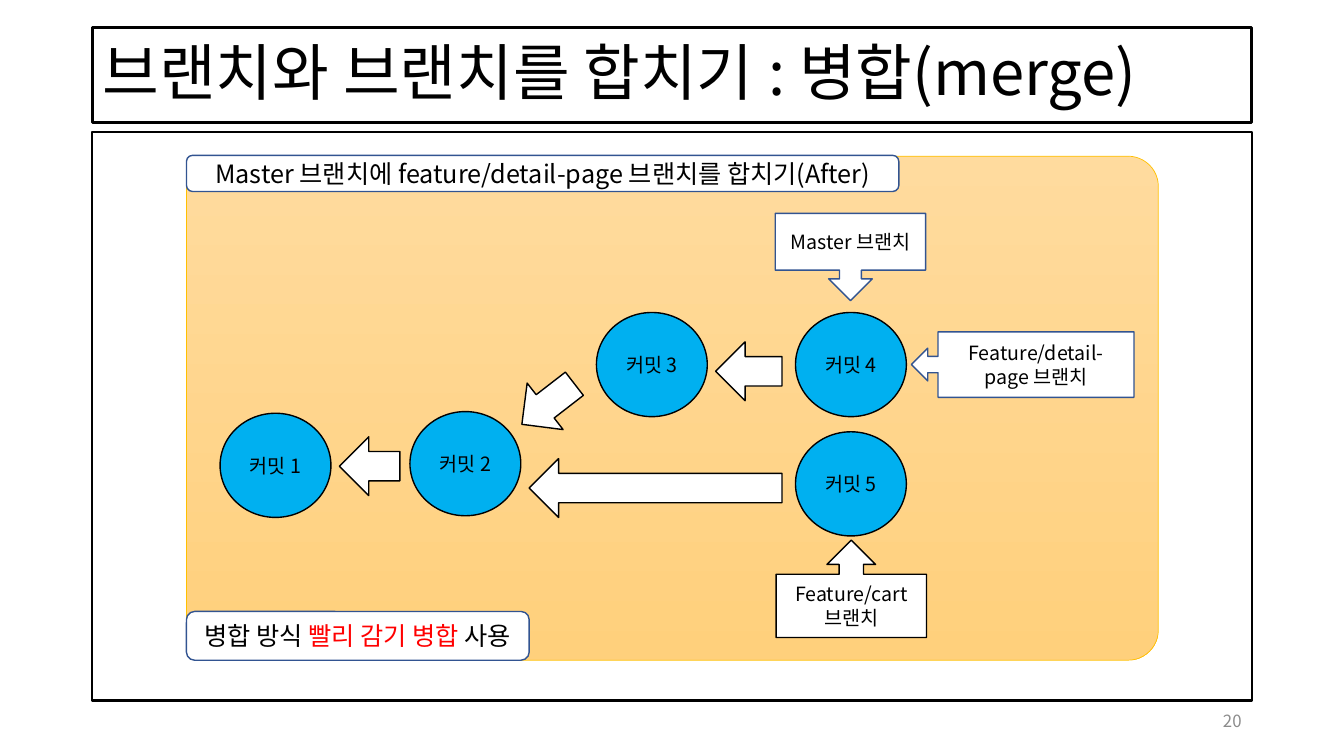
from pptx import Presentation
from pptx.dml.color import RGBColor
from pptx.enum.shapes import MSO_SHAPE
from pptx.enum.text import MSO_ANCHOR, MSO_AUTO_SIZE, PP_ALIGN
from pptx.util import Inches, Pt
from lxml.etree import SubElement
from pptx.oxml.ns import qn

COLUMNS, ROWS = 160, 90
COMMIT_SIZE = (13.2, 12.4)
ARROW_HEIGHT = 7
BLACK, WHITE, RED, NAVY = "000000", "FFFFFF", "FF0000", "325491"
SKY, GOLD, GRAY = "00B0F0", "FFC000", "8C8C8C"


def color(value):
    return RGBColor.from_string(value)


class BranchSlide:
    font = "Noto Sans CJK KR"

    def __init__(self, deck):
        self.column = deck.slide_width / COLUMNS
        self.row = deck.slide_height / ROWS
        self.slide = deck.slides.add_slide(deck.slide_layouts[5])

    def box(self, left, top, width, height):
        return (round(left * self.column), round(top * self.row),
                round(width * self.column), round(height * self.row))

    def add_text(self, shape, paragraphs, size, align=PP_ALIGN.CENTER):
        frame = shape.text_frame
        frame.word_wrap = True
        frame.auto_size = MSO_AUTO_SIZE.NONE
        frame.vertical_anchor = MSO_ANCHOR.MIDDLE
        for index, runs in enumerate(paragraphs):
            paragraph = frame.add_paragraph() if index else frame.paragraphs[0]
            paragraph.alignment = align
            for words, ink in runs:
                run = paragraph.add_run()
                run.text = words
                run.font.name = self.font
                run.font.size = Pt(size)
                run.font.color.rgb = color(ink)
                SubElement(run._r.get_or_add_rPr(), qn("a:ea"), typeface=self.font)

    def outline(self, shape, ink, weight):
        shape.line.color.rgb = color(ink)
        shape.line.width = Pt(weight)

    def title(self, words, place):
        heading = self.slide.shapes.title
        heading.left, heading.top, heading.width, heading.height = self.box(*place)
        self.outline(heading, BLACK, 2.25)
        self.add_text(heading, [[(words, BLACK)]], 44, PP_ALIGN.LEFT)
        heading.text_frame.paragraphs[0].line_spacing = 0.9

    def shape(self, kind, place, fill=WHITE, line=BLACK, weight=1):
        shape = self.slide.shapes.add_shape(kind, *self.box(*place))
        shape.shadow.inherit = False
        if fill:
            shape.fill.solid()
            shape.fill.fore_color.rgb = color(fill)
        else:
            shape.fill.background()
        self.outline(shape, line, weight)
        return shape

    def panel(self, place, top_color, bottom_color):
        panel = self.shape(MSO_SHAPE.ROUNDED_RECTANGLE, place, line=GOLD, weight=0.5)
        panel.adjustments[0] = 0.06
        panel.fill.gradient()
        panel.fill.gradient_angle = 270
        for stop, shade in zip(panel.fill.gradient_stops, (top_color, bottom_color)):
            stop.color.rgb = color(shade)

    def commit(self, number, left, top):
        circle = self.shape(MSO_SHAPE.OVAL, (left, top, *COMMIT_SIZE), SKY)
        self.add_text(circle, [[(f"커밋 {number}", BLACK)]], 14)

    def arrow(self, left, top, width, rotation=180):
        arrow = self.shape(MSO_SHAPE.RIGHT_ARROW, (left, top, width, ARROW_HEIGHT))
        arrow.rotation = rotation

    def callout(self, kind, place, lines, line=NAVY):
        callout = self.shape(kind, place, line=line)
        self.add_text(callout, [[(words, BLACK)] for words in lines], 14)
        return callout

    def label(self, place, runs):
        label = self.shape(MSO_SHAPE.ROUNDED_RECTANGLE, place, line=NAVY)
        self.add_text(label, [runs], 18)

    def page_number(self, words, place):
        number = self.slide.shapes.add_textbox(*self.box(*place))
        self.add_text(number, [[(words, GRAY)]], 12, PP_ALIGN.RIGHT)


def main():
    deck = Presentation()
    deck.slide_width, deck.slide_height = Inches(13.33), Inches(7.5)
    merge = BranchSlide(deck)

    merge.panel((22.2, 18.6, 115.7, 60), "FFDB9E", "FFD07C")
    merge.title("브랜치와 브랜치를 합치기 : 병합(merge)", (11, 3.3, 138, 11.3))
    merge.page_number("20", (113, 83.4, 36, 4.8))
    merge.shape(MSO_SHAPE.RECTANGLE, (11, 15.7, 138, 67.7), fill=None, weight=1.5)

    for arrow in [(40.4, 52, 7.2), (61.3, 44.6, 7.9, 142.3),
                  (85.2, 40.7, 7.9), (63, 54.6, 30.1)]:
        merge.arrow(*arrow)

    commits = [(26.2, 49.2), (48.8, 49), (71, 37.2), (94.7, 37.2), (94.7, 51.4)]
    for number, (left, top) in enumerate(commits, 1):
        merge.commit(number, left, top)

    merge.callout(MSO_SHAPE.UP_ARROW_CALLOUT, (92.4, 64.3, 17.9, 11.6),
                  ["Feature/cart", "브랜치"], BLACK)
    detail_page = merge.callout(MSO_SHAPE.LEFT_ARROW_CALLOUT, (108.5, 39.5, 26.5, 7.8),
                                ["Feature/detail-page 브랜치"])
    detail_page.adjustments[3] = 0.88
    merge.callout(MSO_SHAPE.DOWN_ARROW_CALLOUT, (92.3, 25.4, 17.9, 10.4),
                  ["Master 브랜치"])

    merge.label((22.2, 18.5, 84.8, 4.3),
                [("Master 브랜치에 feature/detail-page 브랜치를 합치기(After)", BLACK)])
    merge.label((22.2, 72.8, 40.8, 5.8),
                [("병합 방식 ", BLACK), ("빨리 감기 병합", RED), (" 사용", BLACK)])

    deck.save("out.pptx")


if __name__ == "__main__":
    main()
